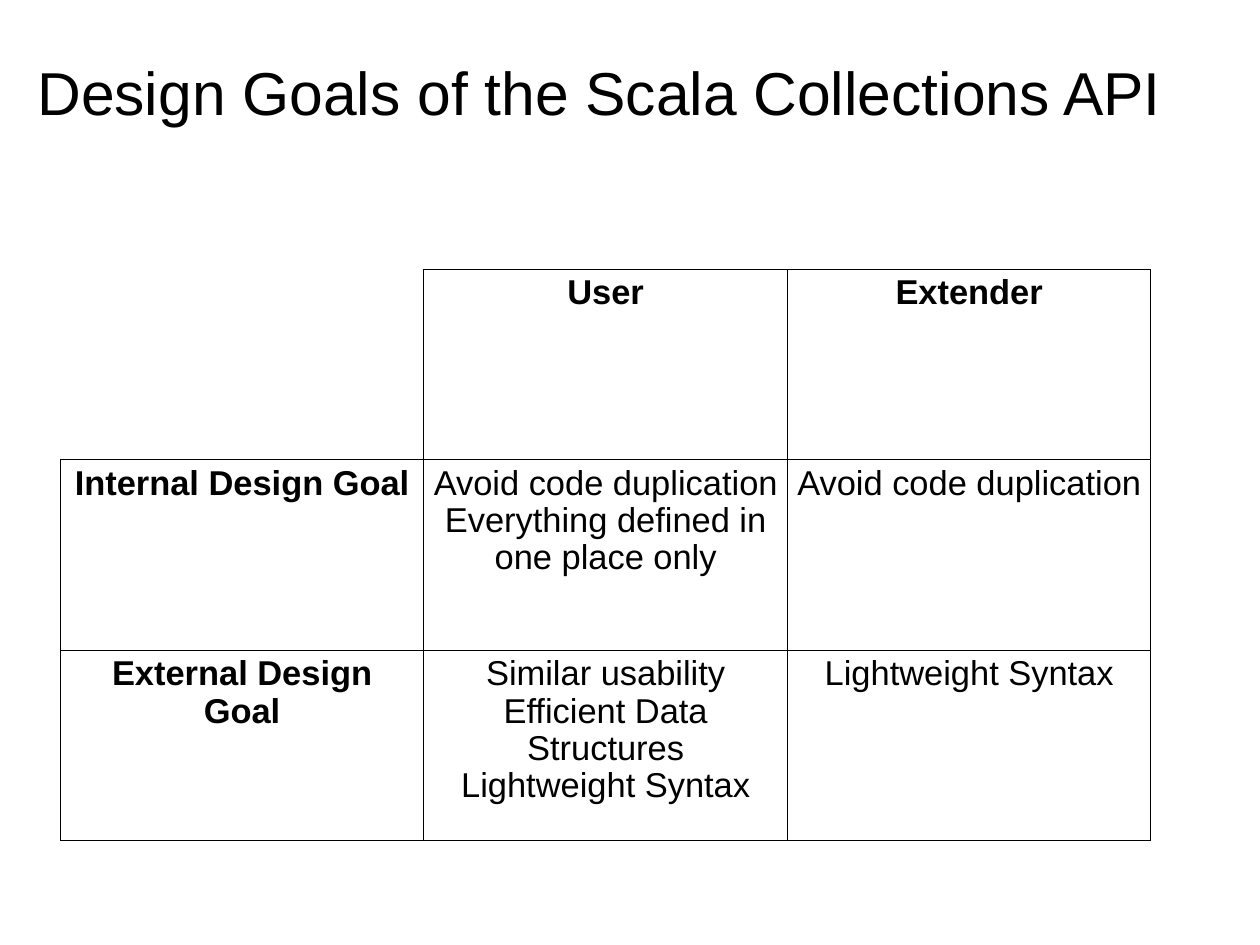
import pptx
import pptx.dml.color
import pptx.enum.text
import pptx.oxml
import pptx.oxml.ns
import pptx.util

Pt = pptx.util.Pt

HEADING = "Design Goals of the Scala Collections API"
GOALS = [
    ["", "User", "Extender"],
    ["Internal Design Goal",
     "Avoid code duplication\nEverything defined in one place only",
     "Avoid code duplication"],
    ["External Design Goal",
     "Similar usability\nEfficient Data Structures\nLightweight Syntax",
     "Lightweight Syntax"],
]
INK = "000000"
COLUMN_WIDTH, ROW_HEIGHT = 295.44, 154.8


def style(paragraph, size, bold=False):
    for run in paragraph.runs:
        run.font.name = "Arial"
        run.font.size = Pt(size)
        run.font.bold = bold
        run.font.color.rgb = pptx.dml.color.RGBColor.from_string(INK)


def set_borders(cell, visible):
    """Draw the named sides (L, R, T, B) and hide the others."""
    properties = cell._tc.get_or_add_tcPr()
    for place, side in enumerate("LRTB"):
        paint = (f'<a:solidFill><a:srgbClr val="{INK}"/></a:solidFill>'
                 if side in visible else "<a:noFill/>")
        properties.insert(place, pptx.oxml.parse_xml(
            f'<a:ln{side} {pptx.oxml.ns.nsdecls("a")} w="{Pt(1)}">{paint}</a:ln{side}>'))


def add_heading(slide):
    box = slide.shapes.add_textbox(Pt(26), Pt(35.3), Pt(971.3), Pt(152.6))
    frame = box.text_frame
    frame.word_wrap = True
    frame.margin_left = frame.margin_right = frame.margin_bottom = Pt(4.3)
    frame.margin_top = Pt(9)
    frame.text = HEADING
    style(frame.paragraphs[0], 49.2)


def add_goals(slide):
    rows, columns = len(GOALS), len(GOALS[0])
    table = slide.shapes.add_table(
        rows, columns, Pt(49), Pt(219),
        Pt(columns * COLUMN_WIDTH), Pt(rows * ROW_HEIGHT)).table
    table.first_row = table.horz_banding = False
    for column in table.columns:
        column.width = Pt(COLUMN_WIDTH)
    for r, goals in enumerate(GOALS):
        table.rows[r].height = Pt(ROW_HEIGHT)
        for c, goal in enumerate(goals):
            cell = table.cell(r, c)
            cell.fill.background()
            cell.margin_top = Pt(4.6)
            set_borders(cell, "LRTB" if goal else "RB")
            cell.text_frame.text = goal
            for paragraph in cell.text_frame.paragraphs:
                paragraph.alignment = pptx.enum.text.PP_ALIGN.CENTER
                paragraph.line_spacing = 0.97
                style(paragraph, 28, bold=r == 0 or c == 0)


def main():
    deck = pptx.Presentation()
    deck.slide_width, deck.slide_height = Pt(1024), Pt(768)
    slide = deck.slides.add_slide(deck.slide_layouts[6])
    add_heading(slide)
    add_goals(slide)
    deck.save("out.pptx")


if __name__ == "__main__":
    main()
